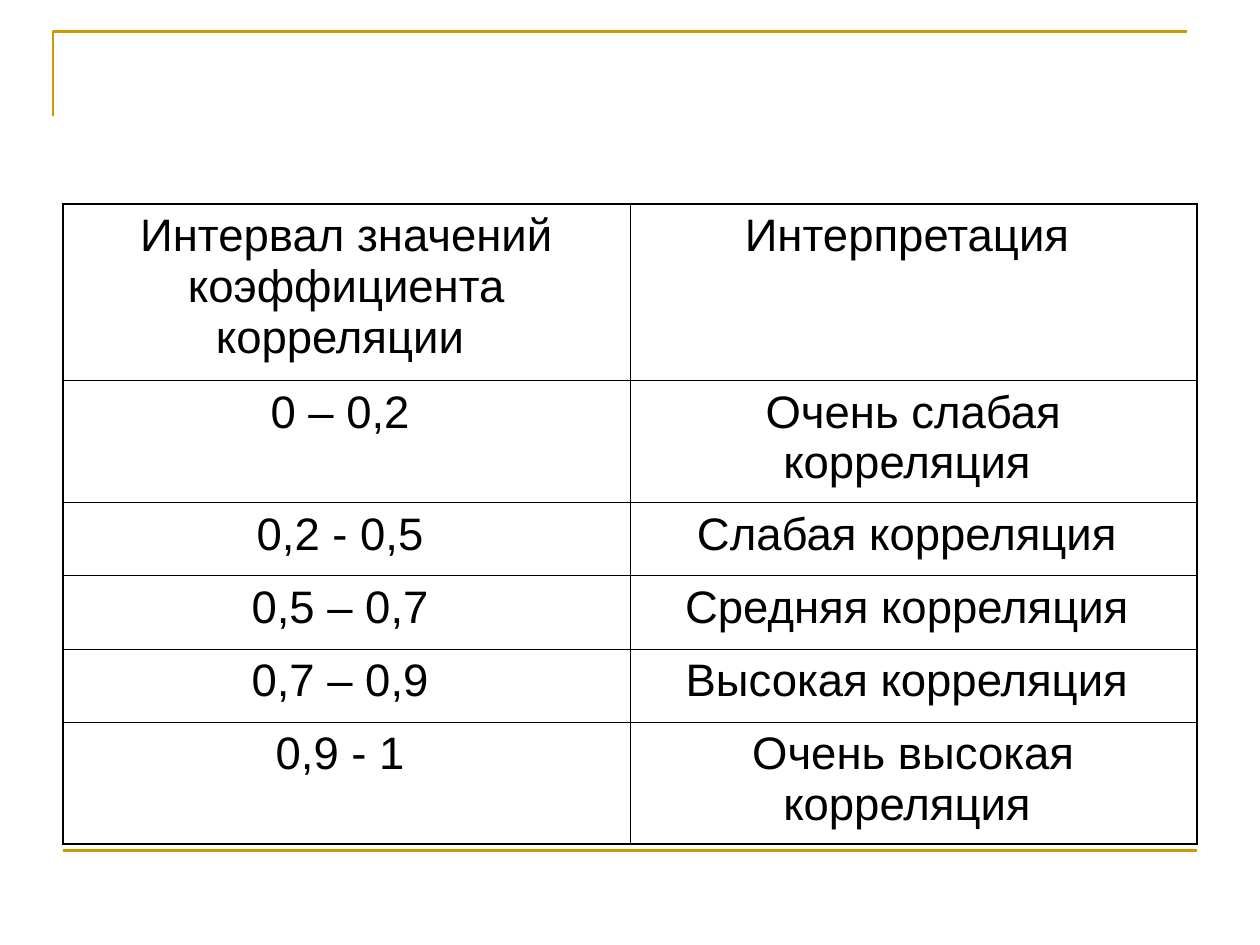
from lxml import etree
from pptx import Presentation, util as u
from pptx.dml.color import RGBColor
from pptx.enum import shapes, text
from pptx.oxml import ns

GOLD = RGBColor(0xCC, 0x99, 0x00)
BLACK = RGBColor(0, 0, 0)
WIDE, HIGH = u.Inches(10), u.Inches(7.5)
THICK, THIN = u.Pt(1.08), u.Pt(0.45)
ROWS = [
    ("Интервал значений коэффициента корреляции ", "Интерпретация "),
    ("0 – 0,2 ", "Очень слабая корреляция "),
    ("0,2 - 0,5 ", "Слабая корреляция "),
    ("0,5 – 0,7 ", "Средняя корреляция "),
    ("0,7 – 0,9 ", "Высокая корреляция "),
    ("0,9 - 1 ", "Очень высокая корреляция "),
]
LINES = (3, 2, 1, 1, 1, 2)
TALL = {1: 0.58, 2: 0.97, 3: 1.4}


def box(left, top, width, height):
    return (int(WIDE * left), int(HIGH * top),
            int(WIDE * width), int(HIGH * height))


def corner(slide, area):
    left, top, width, height = area
    pen = slide.shapes.build_freeform(left, top + height)
    pen.add_line_segments([(left, top), (left + width, top)], close=False)
    frame = pen.convert_to_shape()
    frame.shadow.inherit = False
    frame.fill.background()
    frame.line.color.rgb = GOLD
    frame.line.width = u.Pt(1.5)


def footer(slide, area):
    left, top, width, height = area
    rule = slide.shapes.add_connector(
        shapes.MSO_CONNECTOR.STRAIGHT, left, top, left + width, top + height)
    rule.line.color.rgb = GOLD
    rule.line.width = u.Pt(1.5)
    etree.SubElement(rule._element.spPr, ns.qn("a:effectLst"))


def edge(cell, side, width):
    props = cell._tc.get_or_add_tcPr()
    line = etree.SubElement(props, ns.qn("a:ln" + side), w=str(width))
    fill = etree.SubElement(line, ns.qn("a:solidFill"))
    etree.SubElement(fill, ns.qn("a:srgbClr"), val=str(BLACK))


def entry(cell, words, outer):
    for side in "LRTB":
        edge(cell, side, THICK if side in outer else THIN)
    cell.fill.background()
    para = cell.text_frame.paragraphs[0]
    para.alignment = text.PP_ALIGN.CENTER
    run = para.add_run()
    run.text = words
    run.font.size = u.Pt(26)
    run.font.name = "Arial"
    run.font.color.rgb = BLACK


def scale(slide, area):
    grid = slide.shapes.add_table(len(ROWS), 2, *area).table
    grid.first_row = grid.horz_banding = False
    last = len(ROWS) - 1
    for r, (pair, count) in enumerate(zip(ROWS, LINES)):
        grid.rows[r].height = u.Inches(TALL[count])
        ends = ("T" if r == 0 else "") + ("B" if r == last else "")
        for c, words in enumerate(pair):
            entry(grid.cell(r, c), words, "LR"[c] + ends)


def main():
    deck = Presentation()
    deck.slide_width, deck.slide_height = WIDE, HIGH
    slide = deck.slides.add_slide(deck.slide_layouts[6])
    corner(slide, box(0.042, 0.25 / 7.5, 0.9, 0.67 / 7.5))
    footer(slide, box(0.05, 0.9, 0.9, 0))
    scale(slide, box(0.05, 1.62 / 7.5, 0.9, 5.08 / 7.5))
    deck.save("out.pptx")


if __name__ == "__main__":
    main()
